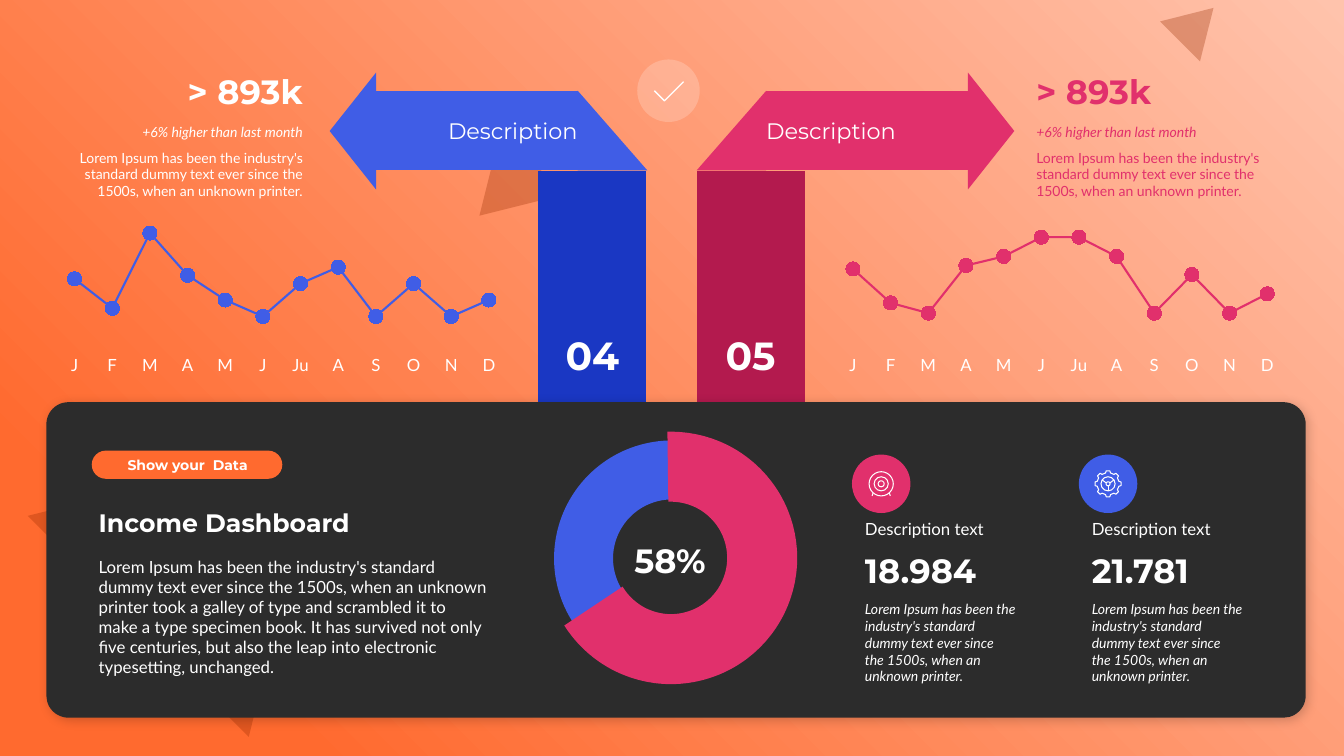
from dataclasses import dataclass
from math import cos, radians, sin

from lxml import etree
from pptx import Presentation
from pptx.chart.data import CategoryChartData
from pptx.dml.color import RGBColor
from pptx.enum.chart import XL_CHART_TYPE, XL_MARKER_STYLE, XL_TICK_MARK
from pptx.enum.shapes import MSO_CONNECTOR, MSO_SHAPE
from pptx.enum.text import MSO_ANCHOR, MSO_AUTO_SIZE, PP_ALIGN
from pptx.oxml.ns import qn
from pptx.util import Pt

RECT, ROUND, OVAL = MSO_SHAPE.RECTANGLE, MSO_SHAPE.ROUNDED_RECTANGLE, MSO_SHAPE.OVAL
PROCESS, ARC = MSO_SHAPE.FLOWCHART_PROCESS, MSO_SHAPE.ARC
TRIANGLE, CORNER = MSO_SHAPE.ISOSCELES_TRIANGLE, MSO_SHAPE.RIGHT_TRIANGLE
LEFT, CENTER, RIGHT = PP_ALIGN.LEFT, PP_ALIGN.CENTER, PP_ALIGN.RIGHT
TOP, MIDDLE, BOTTOM = MSO_ANCHOR.TOP, MSO_ANCHOR.MIDDLE, MSO_ANCHOR.BOTTOM
GROW = MSO_AUTO_SIZE.SHAPE_TO_FIT_TEXT
LINE, DOUGHNUT = XL_CHART_TYPE.LINE_MARKERS, XL_CHART_TYPE.DOUGHNUT
CIRCLE, NO_TICK = XL_MARKER_STYLE.CIRCLE, XL_TICK_MARK.NONE
STRAIGHT = MSO_CONNECTOR.STRAIGHT
PX = 9144


@dataclass(frozen=True)
class Theme:
    white: str = "FFFFFF"
    dark: str = "2C2C2C"
    orange: str = "FF6A2F"
    peach: str = "FFC3AC"
    rust: str = "972B00"
    pink: str = "E1306C"
    pink_dark: str = "B31A4E"
    blue: str = "405DE6"
    blue_dark: str = "1A37C3"
    head: str = "Montserrat"
    body: str = "Lato"
    small: int = 10
    normal: int = 12
    label: int = 16
    title: int = 18
    figure: int = 24
    number: int = 28
    hairline: float = 0.75


T = Theme()


def rgb(color):
    return RGBColor.from_string(color)


class Deck:
    def __init__(self, width, height):
        self.prs = Presentation()
        self.prs.slide_width, self.prs.slide_height = width * PX, height * PX
        self.slide = self.prs.slides.add_slide(self.prs.slide_layouts[6])
        self.shapes = self.slide.shapes

    def style(self, s, fill=None, line=None, weight=T.hairline, alpha=None):
        s.shadow.inherit = False
        if fill:
            s.fill.solid()
            s.fill.fore_color.rgb = rgb(fill)
        else:
            s.fill.background()
        if line:
            s.line.color.rgb = rgb(line)
            s.line.width = Pt(weight)
        else:
            s.line.fill.background()
        if alpha:
            clr = s.element.xpath("./p:spPr/a:solidFill/a:srgbClr")[0]
            etree.SubElement(clr, qn("a:alpha"), val=str(alpha * 1000))

    def shape(self, kind, box, fill=None, rot=0, flip=None, adj=(), **look):
        s = self.shapes.add_shape(kind, *(v * PX for v in box))
        self.style(s, fill, **look)
        s.rotation = rot
        for i, value in enumerate(adj):
            s.adjustments[i] = value
        if flip:
            s.element.spPr.xfrm.set(flip, "1")
        return s

    def ring(self, cx, cy, radius):
        self.shape(OVAL, (cx - radius, cy - radius, 2 * radius, 2 * radius), line=T.white)

    def gradient(self, s, *stops):
        s.fill.gradient()
        for stop, (position, color) in zip(s.fill.gradient_stops, stops):
            stop.position = position
            stop.color.rgb = rgb(color)
        grad = s.element.spPr.find(qn("a:gradFill"))
        grad.remove(grad.find(qn("a:lin")))
        sweep = etree.SubElement(grad, qn("a:path"), {"path": "circle"})
        etree.SubElement(sweep, qn("a:fillToRect"), l="100000", b="100000")

    def drop_shadow(self, s):
        effects = s.element.spPr.find(qn("a:effectLst"))
        shadow = etree.SubElement(effects, qn("a:outerShdw"), blurRad=str(Pt(8)),
                                  dist=str(Pt(3)), dir="2700000", algn="tl", rotWithShape="0")
        clr = etree.SubElement(shadow, qn("a:srgbClr"), val="000000")
        etree.SubElement(clr, qn("a:alpha"), val="20000")

    def outline(self, points, closed, weight=T.hairline):
        pts = [(round(x * PX), round(y * PX)) for x, y in points]
        fb = self.shapes.build_freeform(*pts[0], scale=1.0)
        fb.add_line_segments(pts[1:], close=closed)
        self.style(fb.convert_to_shape(), line=T.white, weight=weight)

    def line(self, *ends):
        c = self.shapes.add_connector(STRAIGHT, *(round(v) * PX for v in ends))
        c.line.color.rgb = rgb(T.white)
        c.line.width = Pt(T.hairline)
        etree.SubElement(c.element.spPr, qn("a:effectLst"))

    def fill_text(self, s, *paras, size=T.small, font=T.body, color=T.white, bold=False,
                  align=LEFT, anchor=TOP, after=0, inset=(10, 5, 10, 5)):
        tf = s.text_frame
        tf.word_wrap, tf.vertical_anchor = True, anchor
        tf.margin_left, tf.margin_top, tf.margin_right, tf.margin_bottom = (v * PX for v in inset)
        for i, (words, italic) in enumerate(paras):
            p = tf.add_paragraph() if i else tf.paragraphs[0]
            p.alignment, p.space_after = align, Pt(after)
            r = p.add_run()
            r.text = words
            f = r.font
            f.name, f.size, f.bold, f.italic = font, Pt(size), bold, italic
            f.color.rgb = rgb(color)

    def text(self, box, *paras, **look):
        s = self.shapes.add_textbox(*(v * PX for v in box))
        self.fill_text(s, *paras, **look)
        s.text_frame.auto_size = GROW

    def chart(self, kind, box, cats, values, size, layout):
        data = CategoryChartData()
        data.categories = cats
        data.add_series("Series 1", values)
        chart = self.shapes.add_chart(kind, *(v * PX for v in box), data).chart
        chart.has_legend = chart.has_title = False
        chart.font.name, chart.font.size = T.body, Pt(size)
        chart.font.color.rgb = rgb(T.white)
        area = chart.element.xpath(".//c:plotArea")[0]
        for old in area.findall(qn("c:layout")):
            area.remove(old)
        frame = etree.Element(qn("c:layout"))
        manual = etree.SubElement(frame, qn("c:manualLayout"))
        rules = [("layoutTarget", "inner"), ("xMode", "edge"), ("yMode", "edge")]
        for tag, val in rules + list(zip("xywh", layout)):
            etree.SubElement(manual, qn("c:" + tag), val=str(val))
        area.insert(0, frame)
        return chart

    def line_chart(self, box, cats, values, color, top):
        chart = self.chart(LINE, box, cats, values, T.normal, (0.02, 0.06, 0.96, 0.78))
        chart.plots[0].vary_by_categories = False
        va, ca = chart.value_axis, chart.category_axis
        va.minimum_scale, va.maximum_scale = 0, top
        va.has_major_gridlines = va.visible = False
        ca.major_tick_mark = ca.minor_tick_mark = NO_TICK
        ca.format.line.fill.background()
        series = chart.plots[0].series[0]
        series.smooth = False
        series.format.line.color.rgb = rgb(color)
        series.format.line.width = Pt(1.5)
        series.marker.style, series.marker.size = CIRCLE, 10
        series.marker.format.fill.solid()
        series.marker.format.fill.fore_color.rgb = rgb(color)
        series.marker.format.line.color.rgb = rgb(color)

    def doughnut(self, box, values, colors):
        chart = self.chart(DOUGHNUT, box, ["1", "2"], values, T.small, (0.14, 0.05, 0.72, 0.9))
        for i, color in enumerate(colors):
            fmt = chart.plots[0].series[0].points[i].format
            fmt.fill.solid()
            fmt.fill.fore_color.rgb = rgb(color)
            fmt.line.fill.background()


def polar(cx, cy, radius, angle):
    return cx + radius * cos(radians(angle)), cy + radius * sin(radians(angle))


def target_icon(d, cx, cy):
    for radius in (12, 7, 3):
        d.ring(cx, cy, radius)
    for side in (-1, 1):
        d.line(cx + side * 8, cy + 9, cx + side * 9, cy + 12)


def gear_icon(d, cx, cy):
    tooth = ((11, -13), (13, -8), (13, 8), (11, 13))
    d.outline([polar(cx, cy, r, a + turn) for turn in range(0, 360, 45) for r, a in tooth], True)
    for radius in (7, 2):
        d.ring(cx, cy, radius)
    for angle in (90, 210, 330):
        d.line(*polar(cx, cy, 2, angle), *polar(cx, cy, 7, angle))


LOREM = "Lorem Ipsum has been the industry's standard dummy text ever since the 1500s, when an unknown printer"
STORY = (LOREM + " took a galley of type and scrambled it to make a type specimen book. It has survived "
         "not only five centuries, but also the leap into electronic typesetting, unchanged.")
MONTHS = ["J", "F", "M", "A", "M", "J", "Ju", "A", "S", "O", "N", "D"]
SIGNS = [
    ("05", T.pink, T.pink_dark, LEFT, 760, 691, "flipH", 691, 925, 90),
    ("04", T.blue, T.blue_dark, RIGHT, 373, 573, None, 534, 292, 270),
]
TRENDS = [
    (1018, 818, LEFT, T.pink, T.pink, 113, (72, 42, 33, 75, 83, 100, 100, 83, 33, 67, 33, 50)),
    (49, 46, RIGHT, T.white, T.blue, 109, (61, 36, 100, 64, 43, 29, 57, 71, 29, 57, 29, 43)),
]
METRICS = [(848, "18.984", T.pink, target_icon), (1073, "21.781", T.blue, gear_icon)]


def main():
    d = Deck(1333, 750)
    heading = dict(font=T.head, bold=True)
    d.gradient(d.shape(RECT, (0, 0, 1333, 750), T.orange), (0, T.peach), (0.85, T.orange))
    for box, flip in [((73, 402, 310, 257), None), ((457, 150, 90, 75), "flipV"), ((1159, 1, 56, 47), None)]:
        d.shape(TRIANGLE, box, T.rust, rot=45, flip=flip, alpha=30)

    for number, color, shade, align, bar, fold, flip, post, tip, rot in SIGNS:
        s = d.shape(PROCESS, (bar, 90, 200, 79), color)
        d.fill_text(s, ("Description", False), size=T.label, font=T.head, align=align, anchor=MIDDLE,
                    inset=(0, 4, 0, 4))
        d.shape(CORNER, (fold, 90, 69, 79), color, flip=flip)
        s = d.shape(PROCESS, (post, 170, 107, 229), shade)
        d.fill_text(s, (number, False), size=T.number, align=CENTER, anchor=BOTTOM, inset=(0, 0, 0, 24), **heading)
        d.shape(TRIANGLE, (tip, 107, 116, 46), color, rot=rot)

    for x, chart_x, align, ink, color, top, values in TRENDS:
        d.text((x, 65, 261, 50), ("> 893k", False), size=T.figure, color=ink, align=align, anchor=BOTTOM, **heading)
        d.text((x, 118, 261, 86), ("+6% higher than last month", True), (LOREM + ".", False),
               color=ink, align=align, after=6)
        d.line_chart((chart_x, 211, 467, 163), MONTHS, values, color, top)

    d.shape(OVAL, (632, 59, 62, 62), T.white, alpha=20)
    d.outline([(649, 90), (659, 100), (678, 81)], False, weight=1)

    d.drop_shadow(d.shape(ROUND, (46, 399, 1249, 313), T.dark, adj=[0.07]))
    d.text((88, 547, 405, 131), (STORY, False), size=T.normal, after=6)
    d.text((88, 498, 405, 40), ("Income Dashboard", False), size=T.title, anchor=BOTTOM, **heading)
    d.shape(ROUND, (91, 447, 189, 28), T.orange, adj=[0.5])
    d.text((99, 448, 174, 27), ("Show your  Data", False), align=CENTER, anchor=MIDDLE, **heading)

    d.doughnut((504, 424, 325, 260), (66, 34), (T.orange, T.blue))
    d.shape(ARC, (575, 463, 181, 181), line=T.pink, weight=50, adj=[160.84, 88.88])
    d.text((608, 531, 113, 50), ("58%", False), size=T.figure, align=CENTER, anchor=MIDDLE, **heading)

    for x, value, color, icon in METRICS:
        d.text((x, 540, 169, 50), (value, False), size=T.figure, anchor=BOTTOM, **heading)
        d.text((x, 510, 169, 30), ("Description text", False), size=T.normal, anchor=BOTTOM)
        d.shape(OVAL, (x - 3, 451, 58, 58), color)
        icon(d, x + 26, 480)
        d.text((x, 591, 169, 94), (LOREM + ".", True))

    d.prs.save("out.pptx")


if __name__ == "__main__":
    main()
